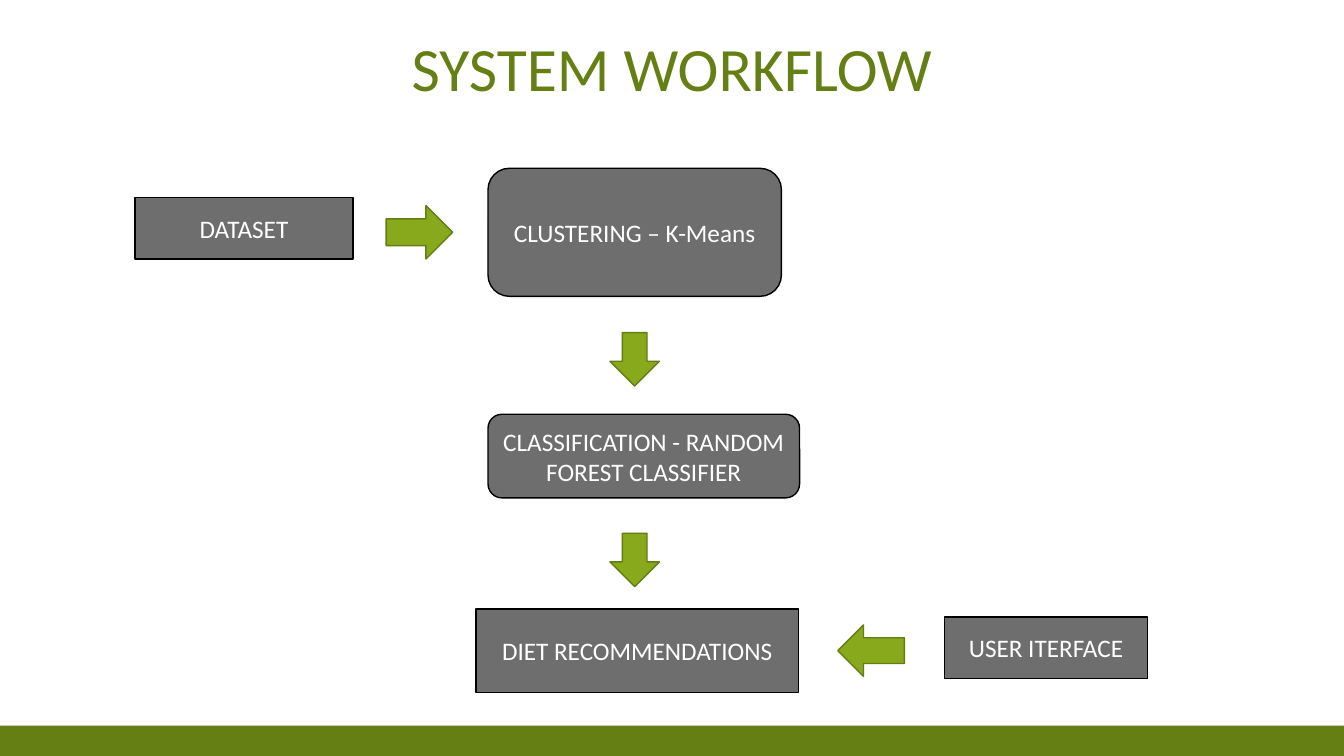
from dataclasses import dataclass

from pptx import Presentation
from pptx.dml.color import RGBColor
from pptx.enum.shapes import MSO_SHAPE
from pptx.enum.text import MSO_ANCHOR, MSO_AUTO_SIZE, PP_ALIGN
from pptx.util import Emu, Pt

RECTANGLE, ROUNDED = MSO_SHAPE.RECTANGLE, MSO_SHAPE.ROUNDED_RECTANGLE
RIGHT, DOWN, LEFT = MSO_SHAPE.RIGHT_ARROW, MSO_SHAPE.DOWN_ARROW, MSO_SHAPE.LEFT_ARROW
CENTER, MIDDLE, BOTTOM = PP_ALIGN.CENTER, MSO_ANCHOR.MIDDLE, MSO_ANCHOR.BOTTOM
NO_AUTOFIT = MSO_AUTO_SIZE.NONE


@dataclass(frozen=True)
class Theme:
    font: str = "Calibri"
    title_size: int = 44
    body_size: int = 18
    line_width: int = 1
    accent: str = "657F14"
    box_fill: str = "6E6E6E"
    box_line: str = "000000"
    box_text: str = "FFFFFF"
    arrow_fill: str = "87A91B"
    arrow_line: str = "647D14"


THEME = Theme()
EMU_PER_PX = 9144  # 100 px to the inch
SLIDE_WIDTH, SLIDE_HEIGHT = 1333, 750
FOOTER_HEIGHT = 30

# Content: boxes are (text, shape, left, top, width, height) in px
TITLE = "SYSTEM WORKFLOW"
TITLE_WIDTH, TITLE_TOP, TITLE_HEIGHT = 1000, 16, 93
STEPS = [
    ("DATASET", RECTANGLE, 134, 196, 216, 61),
    ("CLUSTERING – K-Means", ROUNDED, 484, 167, 291, 127),
    ("CLASSIFICATION - RANDOM FOREST CLASSIFIER", ROUNDED, 484, 411, 309, 83),
    ("DIET RECOMMENDATIONS", RECTANGLE, 472, 604, 320, 83),
    ("USER ITERFACE", RECTANGLE, 937, 612, 201, 61),
]
# Arrows are (shape, left, top, width, height) in px
ARROWS = [
    (RIGHT, 383, 204, 66, 53),
    (DOWN, 605, 330, 49, 53),
    (DOWN, 605, 529, 49, 53),
    (LEFT, 831, 620, 66, 51),
]


def px(length):
    return Emu(round(length * EMU_PER_PX))


def color(value):
    return RGBColor.from_string(value)


def add_block(slide, kind, box, fill, line=None):
    shape = slide.shapes.add_shape(kind, *map(px, box))
    shape.shadow.inherit = False
    shape.fill.solid()
    shape.fill.fore_color.rgb = color(fill)
    if line:
        shape.line.color.rgb = color(line)
        shape.line.width = Pt(THEME.line_width)
    else:
        shape.line.fill.background()
    return shape


def set_text(shape, text, size, text_color, anchor):
    frame = shape.text_frame
    frame.text = text
    frame.word_wrap = True
    frame.auto_size = NO_AUTOFIT
    frame.vertical_anchor = anchor
    paragraph = frame.paragraphs[0]
    paragraph.alignment = CENTER
    font = paragraph.runs[0].font
    font.name, font.size = THEME.font, Pt(size)
    font.color.rgb = color(text_color)
    return paragraph


def main():
    presentation = Presentation()
    presentation.slide_width = px(SLIDE_WIDTH)
    presentation.slide_height = px(SLIDE_HEIGHT)
    slide = presentation.slides.add_slide(presentation.slide_layouts[5])

    # Footer band
    footer_top = SLIDE_HEIGHT - FOOTER_HEIGHT
    add_block(slide, RECTANGLE, (0, footer_top, SLIDE_WIDTH, FOOTER_HEIGHT), THEME.accent)

    # Title
    title = slide.shapes.title
    title.left, title.top = px((SLIDE_WIDTH - TITLE_WIDTH) / 2), px(TITLE_TOP)
    title.width, title.height = px(TITLE_WIDTH), px(TITLE_HEIGHT)
    paragraph = set_text(title, TITLE, THEME.title_size, THEME.accent, BOTTOM)
    paragraph.line_spacing = 0.9

    # Workflow steps
    for text, kind, *box in STEPS:
        step = add_block(slide, kind, box, THEME.box_fill, THEME.box_line)
        set_text(step, text, THEME.body_size, THEME.box_text, MIDDLE)

    # Arrows between the steps
    for kind, *box in ARROWS:
        add_block(slide, kind, box, THEME.arrow_fill, THEME.arrow_line)

    presentation.save("out.pptx")


if __name__ == "__main__":
    main()
